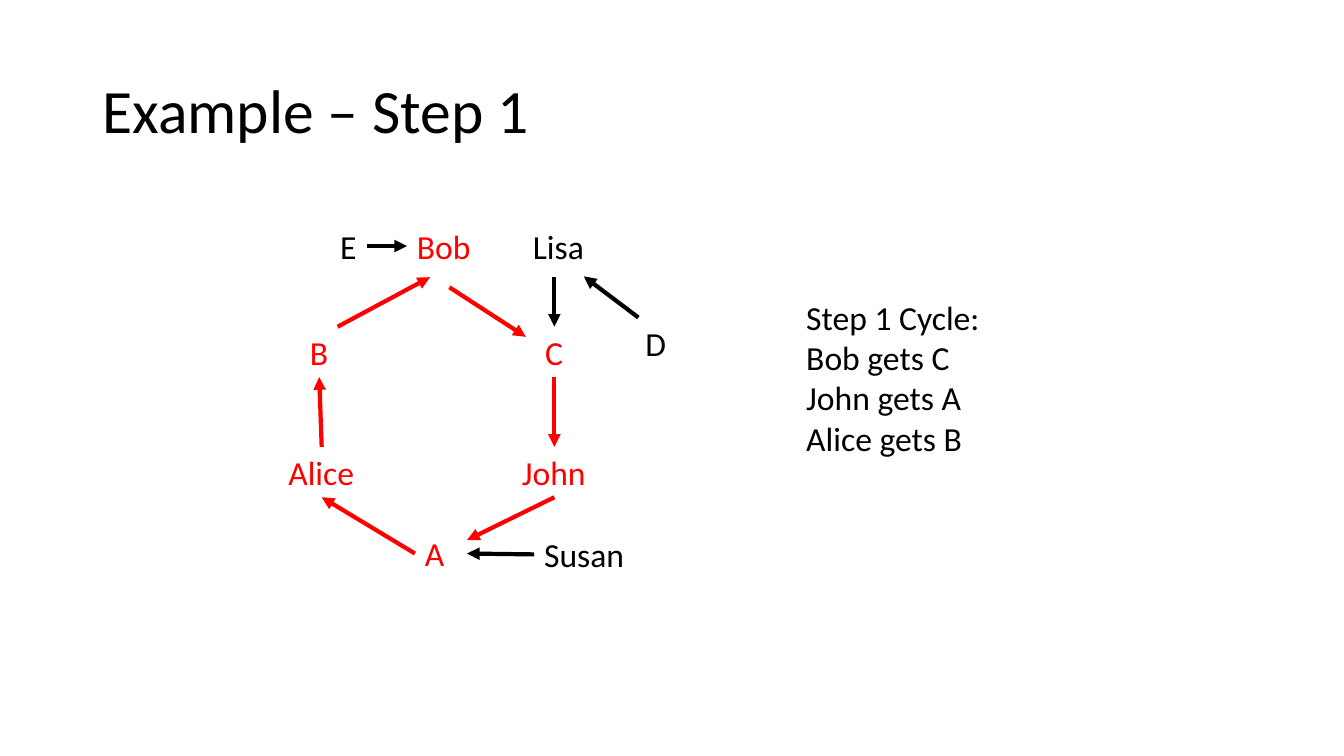
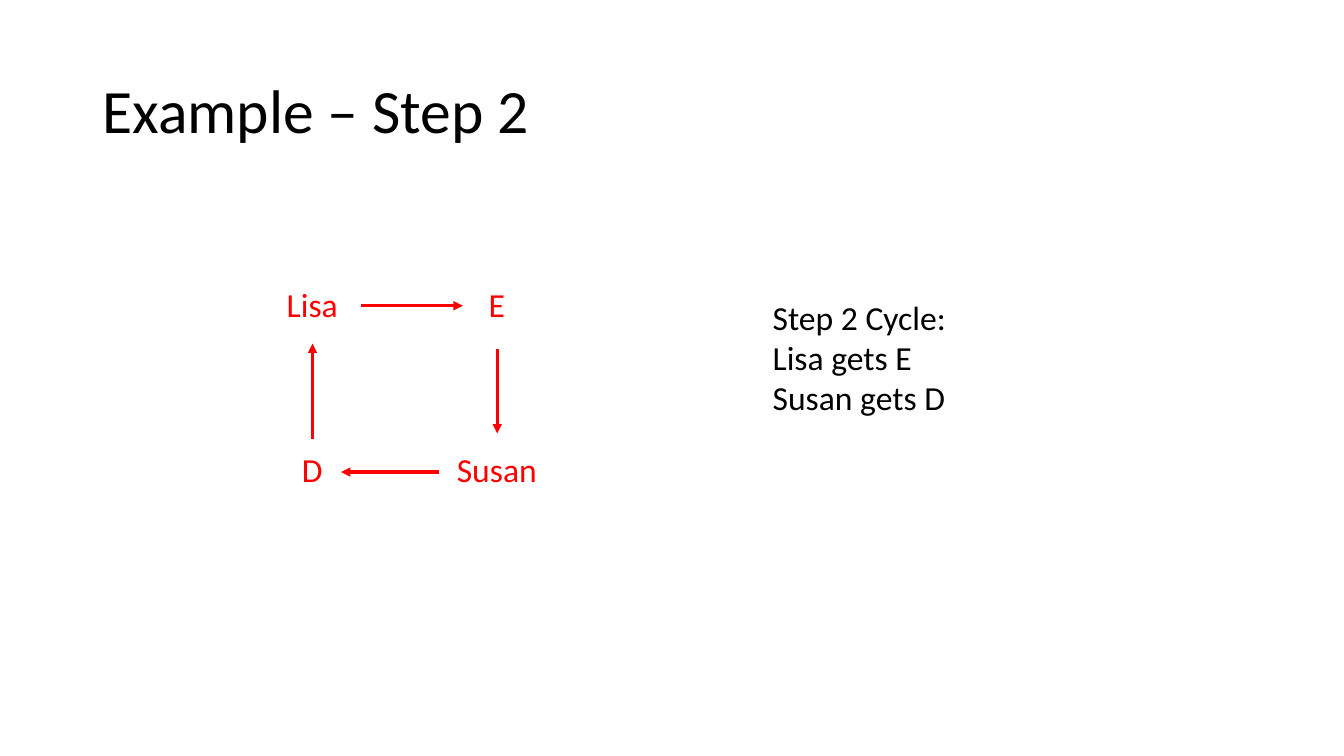
from dataclasses import dataclass

from lxml import etree
from pptx import Presentation
from pptx.dml.color import RGBColor
from pptx.enum.shapes import MSO_CONNECTOR
from pptx.enum.text import MSO_ANCHOR, MSO_AUTO_SIZE
from pptx.oxml.ns import qn
from pptx.util import Inches, Pt

STRAIGHT = MSO_CONNECTOR.STRAIGHT
TOP, MIDDLE = MSO_ANCHOR.TOP, MSO_ANCHOR.MIDDLE
GROW, FIXED = MSO_AUTO_SIZE.SHAPE_TO_FIT_TEXT, MSO_AUTO_SIZE.NONE
NORTH, WEST, SOUTH, EAST = range(4)
COLS, ROWS = 160, 90


@dataclass(frozen=True)
class Theme:
    font: str = "Calibri"
    ink: RGBColor = RGBColor(0, 0, 0)
    cycle: RGBColor = RGBColor(255, 0, 0)
    head: int = 44
    body: int = 24


WIDTHS = {
    "Alice": 10.3, "Bob": 8.9, "John": 10.1, "Lisa": 8.5, "Susan": 12,
    "A": 4.8, "B": 4.6, "C": 4.6, "D": 4.9, "E": 4.4,
}


class Deck:
    def __init__(self, theme):
        self.theme = theme
        self.file = Presentation()
        self.file.slide_width = Inches(13.33)
        self.file.slide_height = Inches(7.5)
        self.slide = None
        self.nodes = {}

    def x(self, cols):
        return round(self.file.slide_width * cols / COLS)

    def y(self, rows):
        return round(self.file.slide_height * rows / ROWS)

    def start(self, title):
        self.slide = self.file.slides.add_slide(self.file.slide_layouts[6])
        self.nodes = {}
        self.text(title, 11, 4.8, 138, 17.4, size=self.theme.head,
                  anchor=MIDDLE, wrap=True, fit=FIXED, space=0.9)

    def text(self, words, left, top, width, height, *, size=None, color=None,
             anchor=TOP, wrap=False, fit=GROW, space=None):
        box = self.slide.shapes.add_textbox(
            self.x(left), self.y(top), self.x(width), self.y(height))
        frame = box.text_frame
        frame.word_wrap = wrap
        frame.auto_size = fit
        frame.vertical_anchor = anchor
        frame.text = words
        for para in frame.paragraphs:
            para.line_spacing = space
            for run in para.runs:
                run.font.name = self.theme.font
                run.font.size = Pt(size or self.theme.body)
                run.font.color.rgb = color or self.theme.ink
        return box

    def node(self, name, x, y, color):
        width, height = WIDTHS[name], 6
        self.nodes[name] = self.text(
            name, x - width / 2, y - height / 2, width, height, color=color)

    def note(self, lines, left):
        self.text("\n".join(lines), left, 34.7, 23.2, 0.9 + 4.9 * len(lines))

    def arrow(self, start, end, color, weight):
        ends = [(0, 0) if isinstance(p[0], str) else p for p in (start, end)]
        (x1, y1), (x2, y2) = ends
        line = self.slide.shapes.add_connector(
            STRAIGHT, self.x(x1), self.y(y1), self.x(x2), self.y(y2))
        for point, join in ((start, line.begin_connect), (end, line.end_connect)):
            if isinstance(point[0], str):
                name, side = point
                join(self.nodes[name], side)
        line.line.color.rgb = color
        line.line.width = Pt(weight)
        props = line.element.spPr
        etree.SubElement(props.find(qn("a:ln")), qn("a:tailEnd"), type="triangle")
        etree.SubElement(props, qn("a:effectLst"))


def first(deck):
    ink, cycle = deck.theme.ink, deck.theme.cycle
    deck.start("Example – Step 1")
    west, east, top, upper, lower = 38, 66, 29.3, 41.9, 56.2
    groups = {
        cycle: [("Alice", west + 0.3, lower), ("Bob", 52.9, top),
                ("John", east, lower), ("A", 51.8, 65.9),
                ("B", west, upper), ("C", east, upper)],
        ink: [("Lisa", east + 0.5, top), ("Susan", 69.6, 66),
              ("D", 78.1, 40.8), ("E", 41.5, top)],
    }
    for color, items in groups.items():
        for name, x, y in items:
            deck.node(name, x, y, color)
    links = {
        cycle: [((40.2, 38.9), (51.2, 33)),
                ((53.5, 34.2), (62.6, 40.1)),
                (("C", SOUTH), ("John", NORTH)),
                (("John", SOUTH), (55.6, 64.3)),
                (("A", WEST), ("Alice", SOUTH)),
                (("Alice", NORTH), ("B", SOUTH))],
        ink: [(("E", EAST), ("Bob", WEST)),
              ((east, 33), ("C", NORTH)),
              ((76, 37.8), (69.5, 32.9)),
              (("Susan", WEST), (55.6, 65.9))],
    }
    for color, pairs in links.items():
        for start, end in pairs:
            deck.arrow(start, end, color, 3)
    deck.note(["Step 1 Cycle:", "Bob gets C", "John gets A", "Alice gets B"], 94.8)


def second(deck):
    cycle = deck.theme.cycle
    deck.start("Example – Step 2")
    west, east, top, base = 37.2, 59.2, 36.2, 55.9
    for name, x, y in (("Lisa", west, top), ("Susan", east, base),
                       ("D", west, base), ("E", east, top)):
        deck.node(name, x, y, cycle)
    for start, end in (((43, 36.4), (55.1, 36.4)),
                       ((east, 41.5), (east, 51.6)),
                       ((52.3, 56.2), (40.6, 56.2)),
                       ((west, 52.3), (west, 40.9))):
        deck.arrow(start, end, cycle, 2.25)
    deck.note(["Step 2 Cycle:", "Lisa gets E", "Susan gets D"], 90.8)


def main():
    deck = Deck(Theme())
    first(deck)
    second(deck)
    deck.file.save("out.pptx")


if __name__ == "__main__":
    main()
